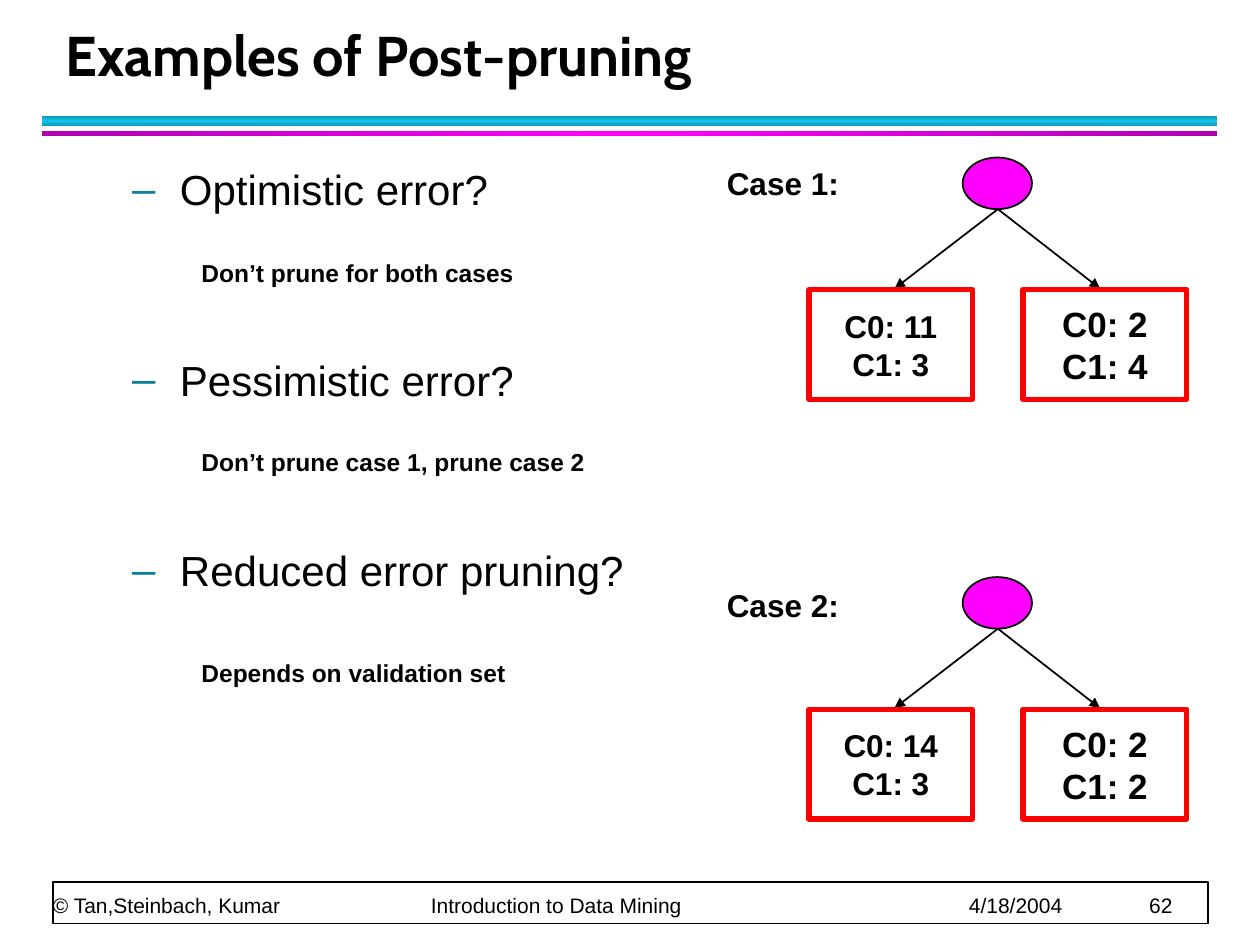
from copy import deepcopy
from dataclasses import dataclass

from lxml import etree
from pptx import Presentation
from pptx.dml.color import RGBColor as Color
from pptx.enum.shapes import MSO_CONNECTOR as Connector, MSO_SHAPE as Preset
from pptx.enum.text import MSO_ANCHOR as Anchor, MSO_AUTO_SIZE as AutoSize, PP_ALIGN as Align
from pptx.oxml.ns import qn
from pptx.util import Inches, Pt


@dataclass(frozen=True)
class Theme:
    body_font: str = "Arial"
    title_font: str = "Cabin"
    text: str = "000000"
    background: str = "FFFFFF"
    node: str = "FF00FF"
    leaf: str = "FF0000"
    bullet: str = "0C7B9C"
    cyan: tuple = ("0E9AB9", "12C2E9")
    magenta: tuple = ("B100B1", "FF00FF")
    title_size: int = 32
    bullet_size: int = 24
    large_size: int = 20
    label_size: int = 18
    answer_size: int = 14
    footer_size: int = 12


def child(parent, tag, **attributes):
    return etree.SubElement(parent, qn(tag), {name: str(value) for name, value in attributes.items()})


def write_text(shape, text, *, size, font=Theme.body_font, color=Theme.text, bold=False,
               align=Align.LEFT, anchor=Anchor.TOP, wrap=True, line_spacing=None,
               before=0, after=0):
    frame = shape.text_frame
    frame.text = text
    frame.auto_size = AutoSize.NONE
    frame.word_wrap = wrap
    frame.vertical_anchor = anchor
    for paragraph in frame.paragraphs:
        paragraph.alignment = align
        paragraph.space_before = Pt(before)
        paragraph.space_after = Pt(after)
        if line_spacing:
            paragraph.line_spacing = Pt(line_spacing)
        for run in paragraph.runs:
            run.font.name = font
            run.font.size = Pt(size)
            run.font.bold = bold
            run.font.color.rgb = Color.from_string(color)
    return frame


class SlideBuilder:
    def __init__(self, presentation, theme):
        self.theme = theme
        self.slide = presentation.slides.add_slide(presentation.slide_layouts[5])
        self.slide.background.fill.solid()
        self.slide.background.fill.fore_color.rgb = Color.from_string(theme.background)

    def title(self, text, left, top, width, height):
        title = self.slide.shapes.title
        title.left, title.top = Inches(left), Inches(top)
        title.width, title.height = Inches(width), Inches(height)
        write_text(title, text, size=self.theme.title_size, font=self.theme.title_font,
                   bold=True, anchor=Anchor.BOTTOM, line_spacing=36)

    def shape(self, preset, left, top, width, height, fill=None, line=None, weight=1):
        shape = self.slide.shapes.add_shape(
            preset, Inches(left), Inches(top), Inches(width), Inches(height))
        shape.shadow.inherit = False
        if fill:
            shape.fill.solid()
            shape.fill.fore_color.rgb = Color.from_string(fill)
        else:
            shape.fill.background()
        if line:
            shape.line.color.rgb = Color.from_string(line)
            shape.line.width = Pt(weight)
        else:
            shape.line.fill.background()
        return shape

    def gradient_bar(self, left, top, width, height, colors, angle):
        bar = self.shape(Preset.RECTANGLE, left, top, width, height)
        bar.fill.gradient()
        bar.fill.gradient_angle = angle
        for stop, color, position in zip(bar.fill.gradient_stops, colors, (0, 0.5)):
            stop.color.rgb = Color.from_string(color)
            stop.position = position
        stop_list = bar._element.spPr.find(".//" + qn("a:gsLst"))
        last = deepcopy(stop_list[0])
        last.set("pos", "100000")
        stop_list.append(last)

    def text(self, text, left, top, width, height, **style):
        box = self.slide.shapes.add_textbox(
            Inches(left), Inches(top), Inches(width), Inches(height))
        return write_text(box, text, **style)

    def bullets(self, items, left, top, width, height):
        frame = self.text("\n".join(items), left, top, width, height,
                          size=self.theme.bullet_size, before=3, after=77)
        for paragraph in frame.paragraphs:
            paragraph.level = 1
            properties = paragraph._p.get_or_add_pPr()
            properties.set("marL", str(Inches(0.88)))
            properties.set("indent", str(Inches(-0.38)))
            child(child(properties, "a:buClr"), "a:srgbClr", val=self.theme.bullet)
            child(properties, "a:buFont", typeface=self.theme.body_font)
            child(properties, "a:buChar", char="–")

    def arrow(self, start, end):
        arrow = self.slide.shapes.add_connector(
            Connector.STRAIGHT, *(Inches(value) for value in (*start, *end)))
        arrow.line.color.rgb = Color.from_string(self.theme.text)
        arrow.line.width = Pt(1)
        child(arrow.line._get_or_add_ln(), "a:tailEnd", type="triangle")
        child(arrow._element.spPr, "a:effectLst")

    def tree(self, top, leaves):
        self.shape(Preset.OVAL, 7.64, top, 0.55, 0.41, self.theme.node, self.theme.text)
        for tip in (7.1, 8.73):
            self.arrow((7.92, top + 0.41), (tip, top + 1.04))
        sizes = (self.theme.label_size, self.theme.large_size)
        for left, counts, size in zip((6.42, 8.12), leaves, sizes):
            leaf = self.shape(Preset.RECTANGLE, left, top + 1.05, 1.3, 0.87,
                              line=self.theme.leaf, weight=3)
            text = "\n".join(f"C{index}: {count}" for index, count in enumerate(counts))
            write_text(leaf, text, size=size, bold=True, align=Align.CENTER,
                       anchor=Anchor.MIDDLE, wrap=False)

    def footer(self, parts, stops):
        self.shape(Preset.RECTANGLE, 0.42, 7, 9.17, 0.33, self.theme.background, self.theme.text)
        frame = self.text("\t".join(parts), 0.42, 6.72, 9.15, 0.56,
                          size=self.theme.footer_size, anchor=Anchor.BOTTOM, line_spacing=20)
        frame.margin_left = frame.margin_right = frame.margin_top = frame.margin_bottom = 0
        tabs = child(frame.paragraphs[0]._p.get_or_add_pPr(), "a:tabLst")
        for stop in stops:
            child(tabs, "a:tab", pos=Inches(stop), algn="l")


def main():
    presentation = Presentation()
    presentation.slide_width, presentation.slide_height = Inches(10), Inches(7.5)
    theme = Theme()
    builder = SlideBuilder(presentation, theme)

    builder.gradient_bar(0.33, 0.92, 9.33, 0.08, theme.cyan, 90)
    builder.gradient_bar(0.33, 1.04, 9.33, 0.04, theme.magenta, 0)
    builder.footer(("© Tan,Steinbach, Kumar", "Introduction to Data Mining", "4/18/2004", "62"),
                   (3, 7.27, 8.7))
    builder.title("Examples of Post-pruning", 0.42, 0.17, 9.06, 0.58)
    builder.bullets(("Optimistic error?", "Pessimistic error?", "Reduced error pruning?"),
                    0.45, 1.25, 5.05, 5.67)

    answers = (
        ("Don’t prune for both cases", 2),
        ("Don’t prune case 1, prune case 2", 3.5),
        ("Depends on validation set", 5.17),
    )
    for text, top in answers:
        builder.text(text, 1.5, top, 3.58, 0.34, size=theme.answer_size, bold=True)

    cases = (
        ("Case 1:", 1.25, 1.25, ((11, 3), (2, 4))),
        ("Case 2:", 4.6, 4.58, ((14, 3), (2, 2))),
    )
    for label, label_top, tree_top, leaves in cases:
        builder.text(label, 5.67, label_top, 1.33, 0.4, size=theme.label_size, bold=True)
        builder.tree(tree_top, leaves)

    presentation.save("out.pptx")


if __name__ == "__main__":
    main()
